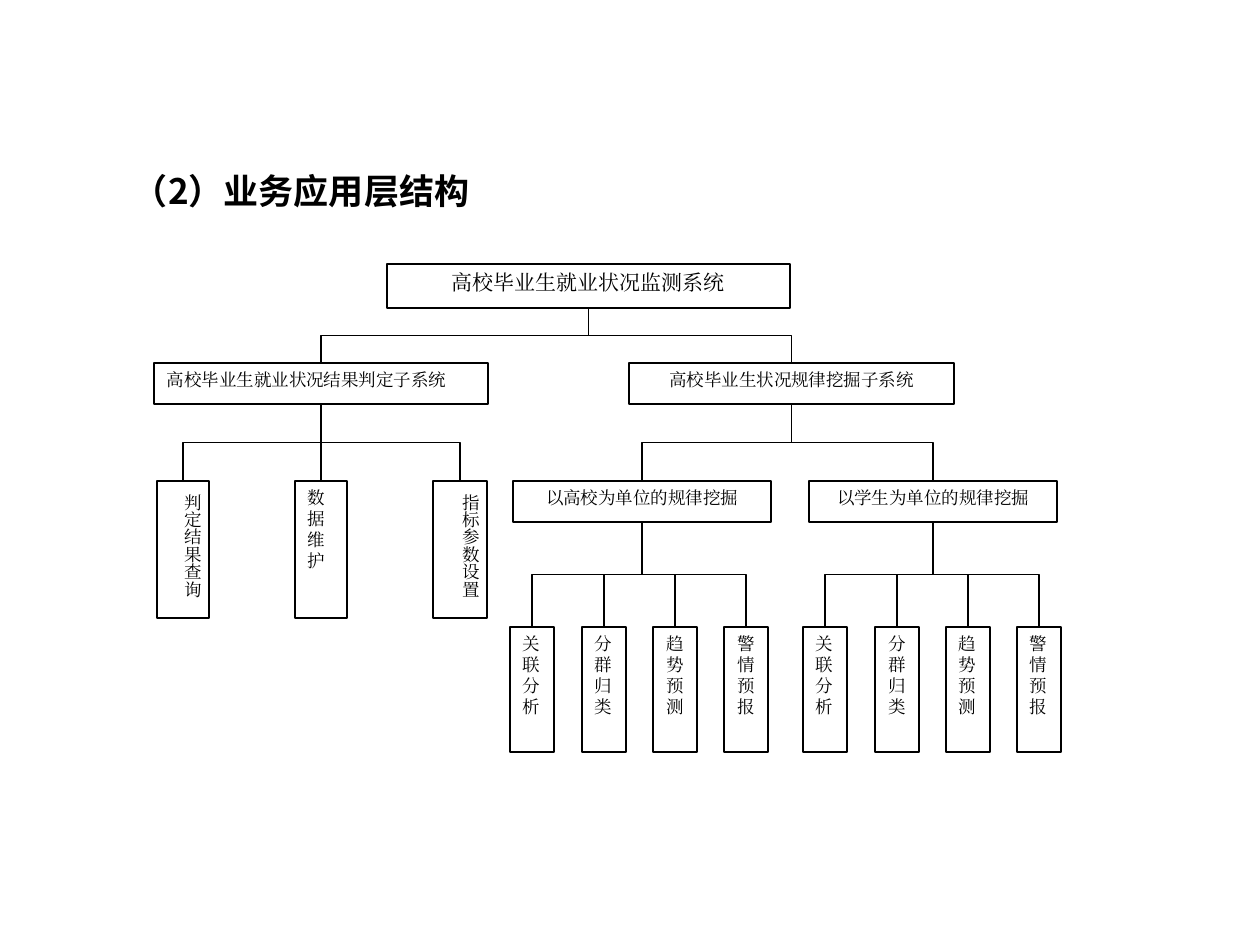
from lxml.etree import SubElement
from pptx import Presentation
from pptx.dml.color import RGBColor
from pptx.enum.shapes import MSO_CONNECTOR, MSO_SHAPE
from pptx.enum.text import MSO_ANCHOR, MSO_AUTO_SIZE, PP_ALIGN
from pptx.oxml.ns import qn
from pptx.util import Emu, Pt

PX = 914400 / 126
COLORS = {"ink": "000000", "paper": "FFFFFF"}
TITLE = "（2）业务应用层结构"
TITLE_AREA = (120, 113, 421, 121)
TITLE_FONT, BOX_FONT = "Noto Sans CJK SC", "Times New Roman"

BRANCHES = [
    ("root", None, "高校毕业生就业状况监测系统", (387, 264, 403, 44), "heading"),
    ("judge", "root", "高校毕业生就业状况结果判定子系统", (154, 363, 334, 41), "left"),
    ("mining", "root", "高校毕业生状况规律挖掘子系统", (629, 363, 325, 41), "center"),
    ("query", "judge", "判定结果查询", (157, 481, 52, 137), "vertical"),
    ("data", "judge", "数据维护", (295, 481, 52, 137), "left"),
    ("settings", "judge", "指标参数设置", (433, 481, 54, 137), "vertical"),
    ("school", "mining", "以高校为单位的规律挖掘", (513, 481, 258, 41), "center"),
    ("student", "mining", "以学生为单位的规律挖掘", (809, 481, 248, 41), "center"),
]
ANALYSES = ["关联分析", "分群归类", "趋势预测", "警情预报"]
ANALYSIS_STARTS = {"school": 510, "student": 803}
ANALYSIS_TOP, ANALYSIS_WIDTH, ANALYSIS_HEIGHT, ANALYSIS_PITCH = 627, 44, 125, 71.5

STYLES = {
    "heading": (12, PP_ALIGN.CENTER),
    "center": (10, PP_ALIGN.CENTER),
    "left": (10, PP_ALIGN.JUSTIFY),
    "vertical": (10, PP_ALIGN.JUSTIFY),
}


def px(*values):
    return [Emu(round(value * PX)) for value in values]


def color(name):
    return RGBColor.from_string(COLORS[name])


def apply(target, values):
    for name, value in values.items():
        setattr(target, name, value)


def write(holder, text, face, size, bold, paragraph_format, frame_format):
    frame = holder.text_frame
    apply(frame, frame_format)
    paragraph = frame.paragraphs[0]
    apply(paragraph, paragraph_format)
    run = paragraph.add_run()
    run.text = text
    apply(run.font, {"name": face, "size": Pt(size), "bold": bold})
    run.font.color.rgb = color("ink")
    SubElement(run.font._element, qn("a:ea"), typeface=face)


def margins(horizontal, vertical):
    across, down = px(horizontal, vertical)
    return {"margin_left": across, "margin_right": across,
            "margin_top": down, "margin_bottom": down}


def add_box(slide, text, area, style):
    box = slide.shapes.add_shape(MSO_SHAPE.RECTANGLE, *px(*area))
    box.shadow.inherit = False
    box.fill.solid()
    box.fill.fore_color.rgb = color("paper")
    box.line.color.rgb = color("ink")
    box.line.width = Pt(0.75)
    size, alignment = STYLES[style]
    vertical = style == "vertical"
    insets = margins(6, 13) if vertical else margins(13, 6)
    write(box, text, BOX_FONT, size, False, {"alignment": alignment},
          {"word_wrap": True, "vertical_anchor": MSO_ANCHOR.TOP, **insets})
    if vertical:
        box.text_frame._txBody.bodyPr.set("vert", "eaVert")
    return box


def add_branch(slide, parent, child):
    start_x, start_y = parent.left + parent.width // 2, parent.top + parent.height
    end_x, end_y = child.left + child.width // 2, child.top
    shift, drop = end_x - start_x, end_y - start_y
    straight = abs(shift) < PX
    kind = MSO_CONNECTOR.STRAIGHT if straight else MSO_CONNECTOR.ELBOW
    branch = slide.shapes.add_connector(kind, start_x, start_y, end_x, end_y)
    branch.begin_connect(parent, 2)
    branch.end_connect(child, 0)
    branch.line.color.rgb = color("ink")
    branch.line.width = Pt(0.75)
    properties = branch._element.spPr
    SubElement(properties, qn("a:effectLst"))
    if not straight:
        apply(branch, {
            "left": Emu((start_x + end_x - drop) // 2),
            "top": Emu((start_y + end_y - abs(shift)) // 2),
            "width": Emu(drop), "height": Emu(abs(shift)),
        })
        properties.xfrm.set("rot", "16200000" if shift > 0 else "5400000")
        properties.xfrm.set("flipH", "1" if shift > 0 else "0")


def main():
    deck = Presentation()
    deck.slide_width, deck.slide_height = px(1260, 945)
    slide = deck.slides.add_slide(deck.slide_layouts[5])

    title = slide.shapes.title
    apply(title, dict(zip(("left", "top", "width", "height"), px(*TITLE_AREA))))
    write(title, TITLE, TITLE_FONT, 20, True,
          {"alignment": PP_ALIGN.LEFT, "line_spacing": 1.8},
          {"word_wrap": True, "vertical_anchor": MSO_ANCHOR.MIDDLE,
           "auto_size": MSO_AUTO_SIZE.SHAPE_TO_FIT_TEXT, **margins(13, 23)})

    boxes, links = {}, []
    for key, parent, text, area, style in BRANCHES:
        boxes[key] = add_box(slide, text, area, style)
        if parent:
            links.append((boxes[parent], boxes[key]))
    for parent, start in ANALYSIS_STARTS.items():
        for index, text in enumerate(ANALYSES):
            area = (start + round(index * ANALYSIS_PITCH), ANALYSIS_TOP,
                    ANALYSIS_WIDTH, ANALYSIS_HEIGHT)
            links.append((boxes[parent], add_box(slide, text, area, "left")))
    for parent, child in links:
        add_branch(slide, parent, child)

    deck.save("out.pptx")


if __name__ == "__main__":
    main()
